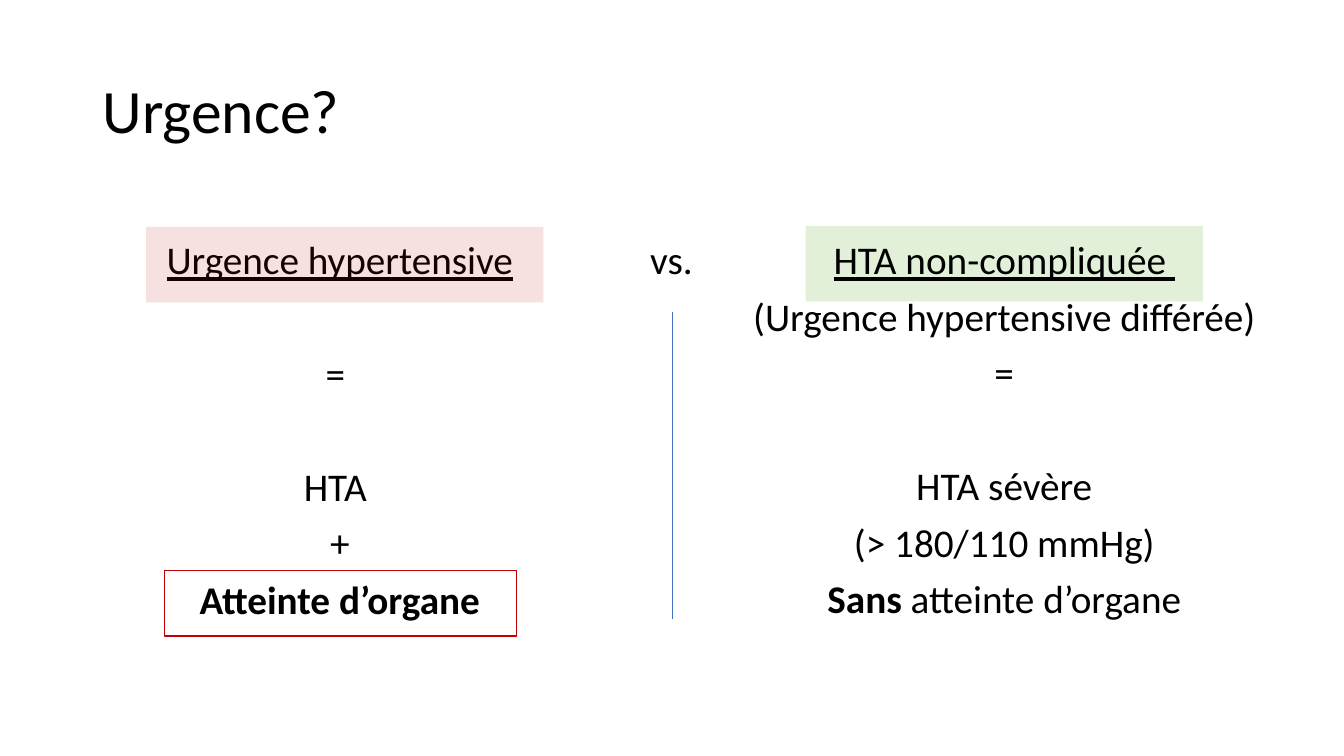
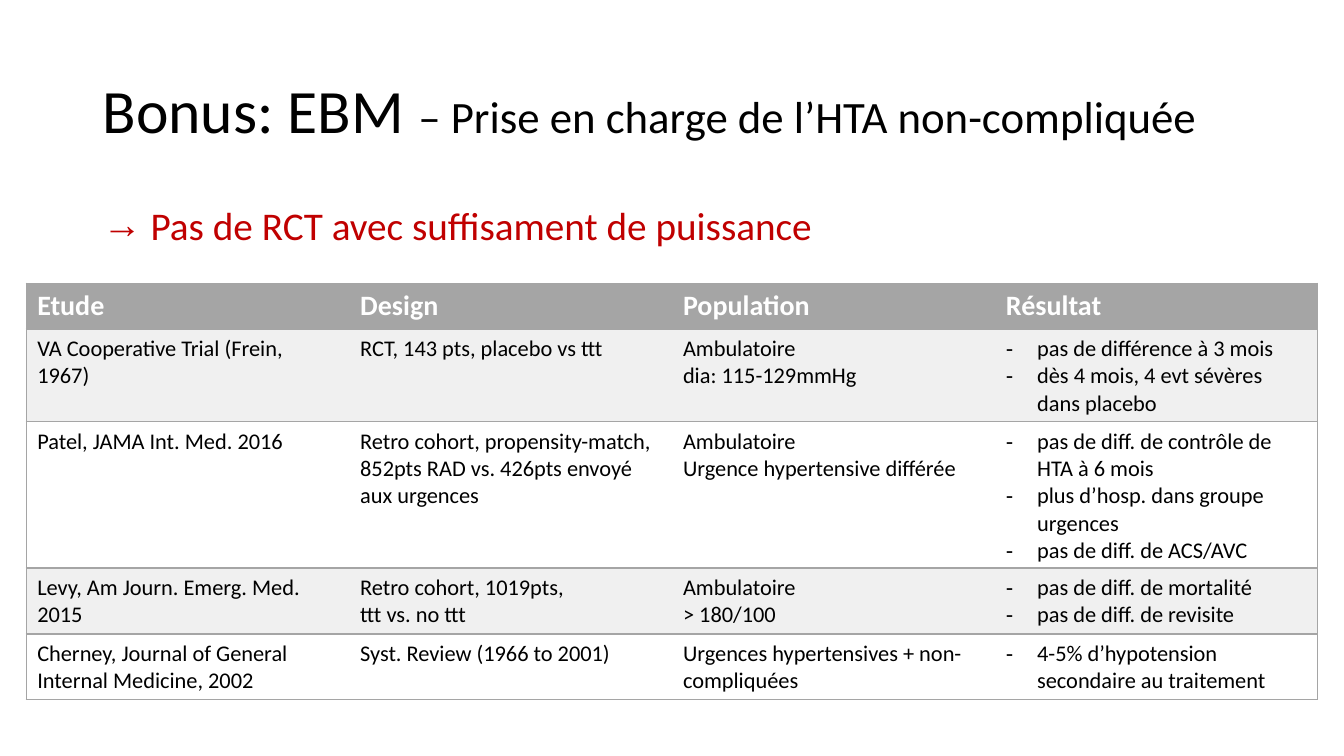
from lxml import etree
from pptx import Presentation
from pptx.dml.color import RGBColor
from pptx.enum.shapes import MSO_CONNECTOR, MSO_SHAPE
from pptx.enum.text import MSO_ANCHOR, PP_ALIGN
from pptx.oxml.ns import qn
from pptx.util import Inches, Pt

RECT = MSO_SHAPE.RECTANGLE
LINE = MSO_CONNECTOR.STRAIGHT
MIDDLE = MSO_ANCHOR.MIDDLE
CENTER = PP_ALIGN.CENTER

BLACK = RGBColor(0x00, 0x00, 0x00)
WHITE = RGBColor(0xFF, 0xFF, 0xFF)
RED = RGBColor(0xC0, 0x00, 0x00)
GREEN = RGBColor(0xE2, 0xF0, 0xD9)
BLUE = RGBColor(0x44, 0x72, 0xC4)
GRAY = RGBColor(0xA5, 0xA5, 0xA5)
PALE = RGBColor(0xF0, 0xF0, 0xF0)

# Shared text formats
TITLE = {"name": "Calibri", "size": Pt(44), "color": BLACK}
BODY = {**TITLE, "size": Pt(28)}
HEAD = {**TITLE, "size": Pt(20), "color": WHITE, "bold": True}
CELL = {**TITLE, "size": Pt(16)}
TIGHT = {"line_spacing": 0.9}
SPACED = {**TIGHT, "space_before": Pt(10)}
CENTRED = {**SPACED, "alignment": CENTER}
SKIP = {"space_before": Pt(50.7)}  # leaves one line free above
UNDER = {"underline": True}
BOLD = {"bold": True}


class Deck:
    """Holds the presentation, its style and the current slide."""

    def __init__(self):
        self.prs = Presentation()
        self.prs.slide_width = Inches(13.33)
        self.prs.slide_height = Inches(7.5)

    def page(self):
        slide = self.prs.slides.add_slide(self.prs.slide_layouts[6])
        self.shapes = slide.shapes

    def title(self, *runs):
        frame = self.text(0.92, 0.4, 11.5, 1.45, [(runs, {})], TITLE, TIGHT)
        frame.vertical_anchor = MIDDLE

    def paras(self, frame, paras, font, form, mark=None):
        """Each paragraph is (runs, format); each run is (text, format)."""
        for i, (runs, extra) in enumerate(paras):
            para = frame.paragraphs[0] if i == 0 else frame.add_paragraph()
            for key, val in {**form, **extra}.items():
                setattr(para, key, val)
            if mark:
                self.mark(para, *mark)
            for words, look in runs:
                for j, part in enumerate(words.split("\n")):
                    if j:
                        para.add_line_break()
                    self.run(para, part, {**font, **look})

    def run(self, para, words, look):
        run = para.add_run()
        run.text = words
        for key, val in look.items():
            if key == "color":
                run.font.color.rgb = val
            else:
                setattr(run.font, key, val)

    def mark(self, para, char, indent):
        props = para._p.get_or_add_pPr()
        props.set("marL", str(Inches(indent)))
        props.set("indent", str(-Inches(indent)))
        etree.SubElement(props, qn("a:buFont")).set("typeface", "Arial")
        etree.SubElement(props, qn("a:buChar")).set("char", char)

    def text(self, x, y, w, h, paras, font=BODY, form=CENTRED, mark=None):
        box = self.shapes.add_textbox(Inches(x), Inches(y), Inches(w), Inches(h))
        frame = box.text_frame
        frame.word_wrap = True
        self.paras(frame, paras, font, form, mark)
        return frame

    def rect(self, x, y, w, h, fill=None, line=None, alpha=None):
        box = self.shapes.add_shape(RECT, Inches(x), Inches(y), Inches(w), Inches(h))
        box.shadow.inherit = False
        if fill is None:
            box.fill.background()
        else:
            box.fill.solid()
            box.fill.fore_color.rgb = fill
        if alpha:
            color = box._element.spPr.find(qn("a:solidFill")).find(qn("a:srgbClr"))
            etree.SubElement(color, qn("a:alpha")).set("val", str(alpha * 1000))
        if line is None:
            box.line.fill.background()
        else:
            box.line.color.rgb = line
            box.line.width = Pt(1)

    def rule(self, x, top, end, color):
        rule = self.shapes.add_connector(
            LINE, Inches(x), Inches(top), Inches(x), Inches(end))
        rule.line.color.rgb = color
        rule.line.width = Pt(0.5)
        etree.SubElement(rule._element.spPr, qn("a:effectLst"))

    def edges(self, cell, sides):
        """Draws the named sides of a cell and clears the others."""
        props = cell._tc.get_or_add_tcPr()
        for side in "LRTB":
            edge = etree.SubElement(props, qn("a:ln" + side))
            if side in sides:
                edge.set("w", str(Pt(1)))
                fill = etree.SubElement(edge, qn("a:solidFill"))
                etree.SubElement(fill, qn("a:srgbClr")).set("val", str(GRAY))
            else:
                etree.SubElement(edge, qn("a:noFill"))

    def table(self, x, y, w, highs, rows):
        last = len(rows[0]) - 1
        grid = self.shapes.add_table(
            len(rows), last + 1, Inches(x), Inches(y), Inches(w),
            Inches(sum(highs))).table
        for row, high in zip(grid.rows, highs):
            row.height = Inches(high)
        for i, row in enumerate(rows):
            for j, value in enumerate(row):
                cell = grid.cell(i, j)
                cell.margin_left = cell.margin_right = Inches(0.11)
                cell.margin_top = cell.margin_bottom = Inches(0.06)
                self.edges(cell, "TB" + "L" * (j == 0) + "R" * (j == last))
                cell.fill.solid()
                cell.fill.fore_color.rgb = GRAY if i == 0 else PALE if i % 2 else WHITE
                lines = [value] if isinstance(value, str) else value
                paras = [([(words, {})], {}) for words in lines]
                mark = ("-", 0.31) if i and j == last else None
                self.paras(cell.text_frame, paras, CELL if i else HEAD, {}, mark)


def compare(deck):
    deck.page()
    deck.rect(7.99, 2.24, 3.94, 0.75, fill=GREEN)
    deck.title(("Urgence?", {}))

    # Three columns of text
    top, wide, high = 2.34, 5.44, 4.76
    deck.text(7.24, top, wide, high, [
        ([("HTA non-compliquée ", UNDER)], {}),
        ([("(Urgence hypertensive différée)", {})], {}),
        ([("=", {})], {}),
        ([("HTA sévère", {})], SKIP),
        ([("(> 180/110 mmHg)", {})], {}),
        ([("Sans", BOLD), (" atteinte d’organe", {})], {}),
    ])
    deck.text(0.65, top, wide, high, [
        ([("Urgence hypertensive", UNDER)], {}),
        ([("= ", {})], SKIP),
        ([("HTA ", {})], SKIP),
        ([("+", {})], {}),
        ([("Atteinte d’organe", BOLD)], {}),
    ])
    deck.text(3.94, top, wide, high, [([("vs.", {})], {})])

    # Divider and highlights
    deck.rule(6.67, 3.1, 6.14, BLUE)
    deck.rect(1.63, 5.66, 3.49, 0.65, line=RED)
    deck.rect(1.45, 2.25, 3.94, 0.75, fill=RED, alpha=12)


def studies(deck):
    deck.page()
    deck.title(("Bonus: EBM ", {}),
               ("– Prise en charge de l’HTA non-compliquée", {"size": Pt(32)}))
    deck.text(0.92, 2, 11.5, 0.7,
              [([(" Pas de RCT avec suffisament de puissance", {})], {})],
              {**BODY, "color": RED}, SPACED, ("→", 0.25))

    # Table of studies
    deck.table(0.26, 2.81, 12.81, [0.45, 0.7, 0.45, 0.45, 0.45], [
        ["Etude", "Design", "Population", "Résultat"],
        ["VA Cooperative Trial (Frein, 1967)",
         "RCT, 143 pts, placebo vs ttt",
         "Ambulatoire\ndia: 115-129mmHg",
         ("pas de différence à 3 mois",
          "dès 4 mois, 4 evt sévères dans placebo")],
        ["Patel, JAMA Int. Med. 2016",
         "Retro cohort, propensity-match, 852pts RAD vs. 426pts envoyé aux urgences",
         ("Ambulatoire", "Urgence hypertensive différée"),
         ("pas de diff. de contrôle de HTA à 6 mois",
          "plus d’hosp. dans groupe urgences",
          "pas de diff. de ACS/AVC")],
        ["Levy, Am Journ. Emerg. Med. 2015",
         "Retro cohort, 1019pts,\nttt vs. no ttt",
         "Ambulatoire\n> 180/100",
         ("pas de diff. de mortalité", "pas de diff. de revisite")],
        ["Cherney, Journal of General Internal Medicine, 2002",
         "Syst. Review (1966 to 2001)",
         "Urgences hypertensives + non-compliquées",
         "4-5% d’hypotension secondaire au traitement"],
    ])


def main():
    deck = Deck()
    compare(deck)
    studies(deck)
    deck.prs.save("out.pptx")


if __name__ == "__main__":
    main()
